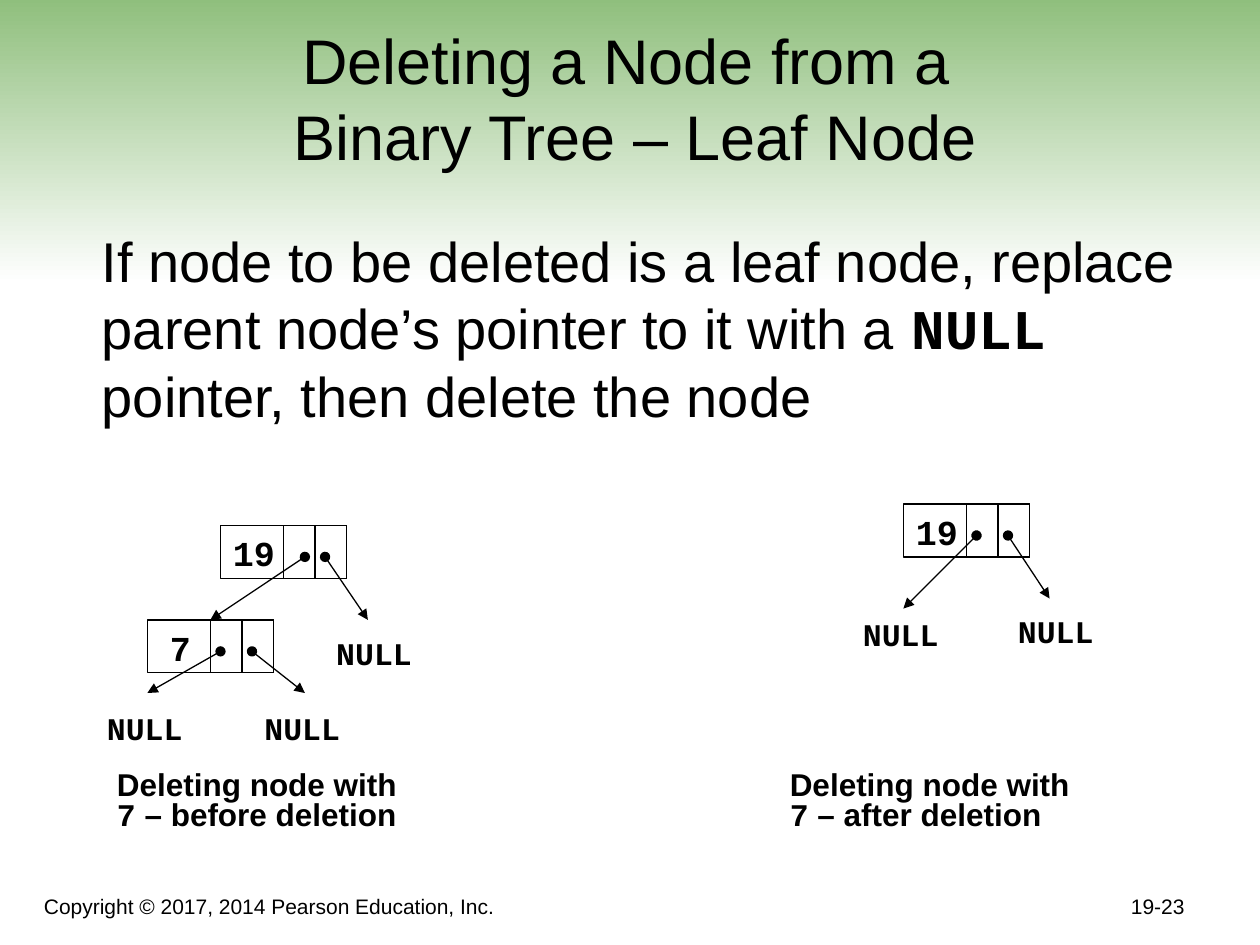
from lxml import etree
from pptx import Presentation
from pptx.dml.color import RGBColor
from pptx.enum.shapes import MSO_CONNECTOR, MSO_SHAPE
from pptx.enum.text import MSO_ANCHOR, PP_ALIGN
from pptx.oxml.ns import qn
from pptx.util import Inches, Pt

RECTANGLE = MSO_SHAPE.RECTANGLE
STRAIGHT = MSO_CONNECTOR.STRAIGHT
TOP, BOTTOM = MSO_ANCHOR.TOP, MSO_ANCHOR.BOTTOM
LEFT, CENTER, RIGHT = PP_ALIGN.LEFT, PP_ALIGN.CENTER, PP_ALIGN.RIGHT
SANS, MONO = "Arial", "Courier New"
BLACK, GREEN, WHITE = "000000", "8CBD79", "FFFFFF"

presentation = Presentation()
presentation.slide_width = Inches(10)
presentation.slide_height = Inches(7.5)
slide = presentation.slides.add_slide(presentation.slide_layouts[6])


def color(value):
    return RGBColor.from_string(value)


def add_text(text, left, top, width, height, size=18, font=SANS, bold=False,
             align=LEFT, anchor=TOP, wrap=True, spacing=None, right_inset=0.1):
    box = slide.shapes.add_textbox(Inches(left), Inches(top), Inches(width), Inches(height))
    frame = box.text_frame
    frame.word_wrap = wrap
    frame.vertical_anchor = anchor
    frame.margin_right = Inches(right_inset)
    paragraph = frame.paragraphs[0]
    paragraph.alignment = align
    if spacing:
        paragraph.line_spacing = spacing
    runs = [(text, font, bold)] if isinstance(text, str) else text
    for run_text, run_font, run_bold in runs:
        lines = run_text.split("\n")
        for index, line in enumerate(lines):
            if index:
                paragraph.add_line_break()
            run = paragraph.add_run()
            run.text = line
            run.font.name = run_font
            run.font.size = Pt(size)
            run.font.bold = run_bold
            run.font.color.rgb = color(BLACK)


band = slide.shapes.add_shape(RECTANGLE, 0, Inches(-0.08), Inches(10), Inches(2.33))
band.shadow.inherit = False
band.line.fill.background()
band.fill.gradient()
band.fill.gradient_angle = 270
for stop, value in zip(band.fill.gradient_stops, (GREEN, WHITE)):
    stop.color.rgb = color(value)

add_text("Copyright © 2017, 2014 Pearson Education, Inc.", 0.25, 6.92, 6.75, 0.42,
         size=12, anchor=BOTTOM)
add_text("Deleting a Node from a \nBinary Tree – Leaf Node", 0.33, 0.33, 9.42, 1.09,
         size=36, align=CENTER, anchor=BOTTOM)
add_text([("If node to be deleted is a leaf node, replace parent node’s pointer to it with a ",
           SANS, False),
          ("NULL", MONO, True),
          (" pointer, then delete the node", SANS, False)],
         0.71, 1.75, 8.69, 1.94, size=32, right_inset=0)
add_text("19-23", 7.42, 6.84, 2.08, 0.5, size=12, align=RIGHT, anchor=BOTTOM)

nodes = [("19", 1.75, 4.17, 0, 0.56), ("7", 1.17, 4.92, 0.08, 0.38), ("19", 7.17, 4, 0, 0.56)]
for value, left, top, value_offset, value_width in nodes:
    for offset, width in ((0, 1), (0.75, 0.25), (0.5, 0.25)):
        cell = slide.shapes.add_shape(RECTANGLE, Inches(left + offset), Inches(top),
                                      Inches(width), Inches(0.42))
        cell.shadow.inherit = False
        cell.fill.background()
        cell.line.color.rgb = color(BLACK)
        cell.line.width = Pt(0.75)
    add_text(value, left + value_offset, top, value_width, 0.44,
             size=20, font=MONO, bold=True, wrap=False)

for left, top in ((2.57, 4.98), (0.75, 5.58), (2, 5.58), (7.98, 4.81), (6.75, 4.83)):
    add_text("NULL", left, top, 0.81, 0.4, font=MONO, bold=True, wrap=False)

for state, left in (("before", 0.83), ("after", 6.17)):
    add_text([("Deleting node with ", SANS, True),
              ("7", MONO, True),
              (f" – {state} deletion", SANS, True)],
             left, 6.08, 2.6, 0.58, spacing=0.8)

pointers = [
    (2.42, 4.42, 1.67, 4.92),
    (2.58, 4.42, 2.92, 4.92),
    (1.75, 5.17, 1.17, 5.5),
    (2, 5.17, 2.42, 5.5),
    (8, 4.25, 8.33, 4.75),
    (7.75, 4.25, 7.17, 4.83),
]
for points in pointers:
    pointer = slide.shapes.add_connector(STRAIGHT, *[Inches(point) for point in points])
    pointer.line.color.rgb = color(BLACK)
    pointer.line.width = Pt(0.75)
    line = pointer.line._get_or_add_ln()
    etree.SubElement(line, qn("a:headEnd"), type="oval")
    etree.SubElement(line, qn("a:tailEnd"), type="triangle")
    etree.SubElement(pointer._element.spPr, qn("a:effectLst"))

presentation.save("out.pptx")
